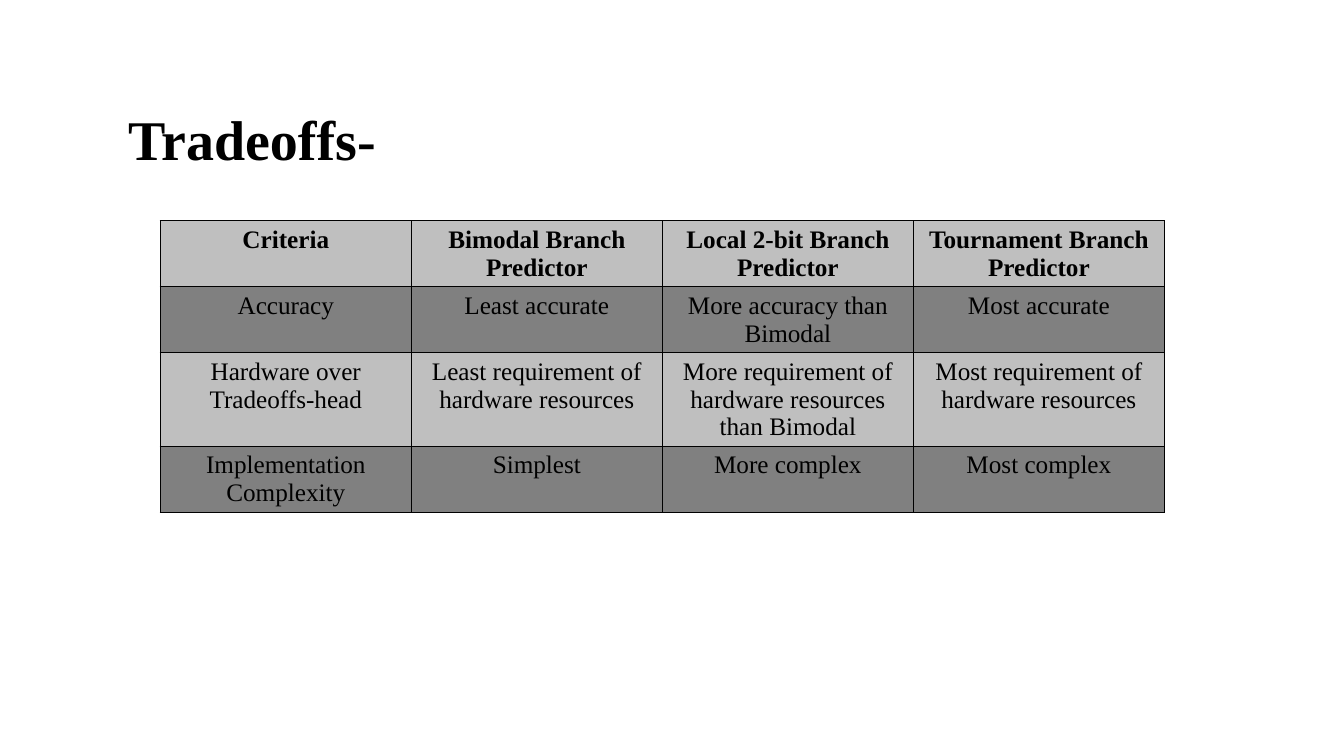
from lxml import etree
from pptx import Presentation
from pptx import util as u
from pptx.dml.color import RGBColor
from pptx.enum import text
from pptx.oxml import ns

WIDE, HIGH = 13.33, 7.5
HEAD = (1.17, 0.72, 9.72, 1.04)
GRID = (1.59, 2.19, 9.96, 2.88)
TALL = (0.65, 0.65, 0.93, 0.65)
FILLS = ("BFBFBF", "808080")
ROWS = (
    ("Criteria", "Bimodal Branch Predictor",
     "Local 2-bit Branch Predictor", "Tournament Branch Predictor"),
    ("Accuracy", "Least accurate", "More accuracy than Bimodal", "Most accurate"),
    ("Hardware over Tradeoffs-head", "Least requirement of hardware resources",
     "More requirement of hardware resources than Bimodal",
     "Most requirement of hardware resources"),
    ("Implementation Complexity", "Simplest", "More complex", "Most complex"),
)


def paint(target, shade):
    """Give a fill or font colour object a hex colour."""
    target.rgb = RGBColor.from_string(shade)


def write(frame, words, align, size, bold):
    """Write one formatted paragraph into a text frame."""
    frame.text = words
    line = frame.paragraphs[0]
    line.alignment = align
    font = line.runs[0].font
    look = {"name": "Times New Roman", "size": u.Pt(size), "bold": bold}
    for key, value in look.items():
        setattr(font, key, value)
    paint(font.color, "000000")
    return line


def border(cell, shade="000000", width=1):
    """Draw a solid line on all four sides of a cell."""
    props = cell._tc.get_or_add_tcPr()
    for spot, side in enumerate(("lnL", "lnR", "lnT", "lnB")):
        edge = etree.Element(ns.qn("a:" + side), w=str(u.Pt(width)))
        solid = etree.SubElement(edge, ns.qn("a:solidFill"))
        etree.SubElement(solid, ns.qn("a:srgbClr"), val=shade)
        props.insert(spot, edge)


def title(slide, box):
    """Place and format the slide title in its box."""
    head = slide.shapes.title
    for key, value in zip(("left", "top", "width", "height"), box):
        setattr(head, key, u.Inches(value))
    frame = head.text_frame
    look = {"word_wrap": True, "auto_size": text.MSO_AUTO_SIZE.NONE,
            "vertical_anchor": text.MSO_ANCHOR.BOTTOM}
    for key, value in look.items():
        setattr(frame, key, value)
    line = write(frame, "Tradeoffs-", text.PP_ALIGN.LEFT, 40, True)
    line.line_spacing = 0.9


def table(slide, box):
    """Fill a box with the table of predictor tradeoffs."""
    place = [u.Inches(side) for side in box]
    grid = slide.shapes.add_table(len(ROWS), len(ROWS[0]), *place).table
    for col in grid.columns:
        col.width = u.Inches(box[2] / len(ROWS[0]))
    for r, row in enumerate(ROWS):
        grid.rows[r].height = u.Inches(TALL[r])
        for c, words in enumerate(row):
            cell = grid.cell(r, c)
            cell.fill.solid()
            paint(cell.fill.fore_color, FILLS[r % 2])
            write(cell.text_frame, words, text.PP_ALIGN.CENTER, 18, r == 0)
            border(cell)


def main():
    """Build and save the slide."""
    deck = Presentation()
    deck.slide_width, deck.slide_height = u.Inches(WIDE), u.Inches(HIGH)
    slide = deck.slides.add_slide(deck.slide_layouts[5])
    title(slide, HEAD)
    table(slide, GRID)
    deck.save("out.pptx")


if __name__ == "__main__":
    main()
